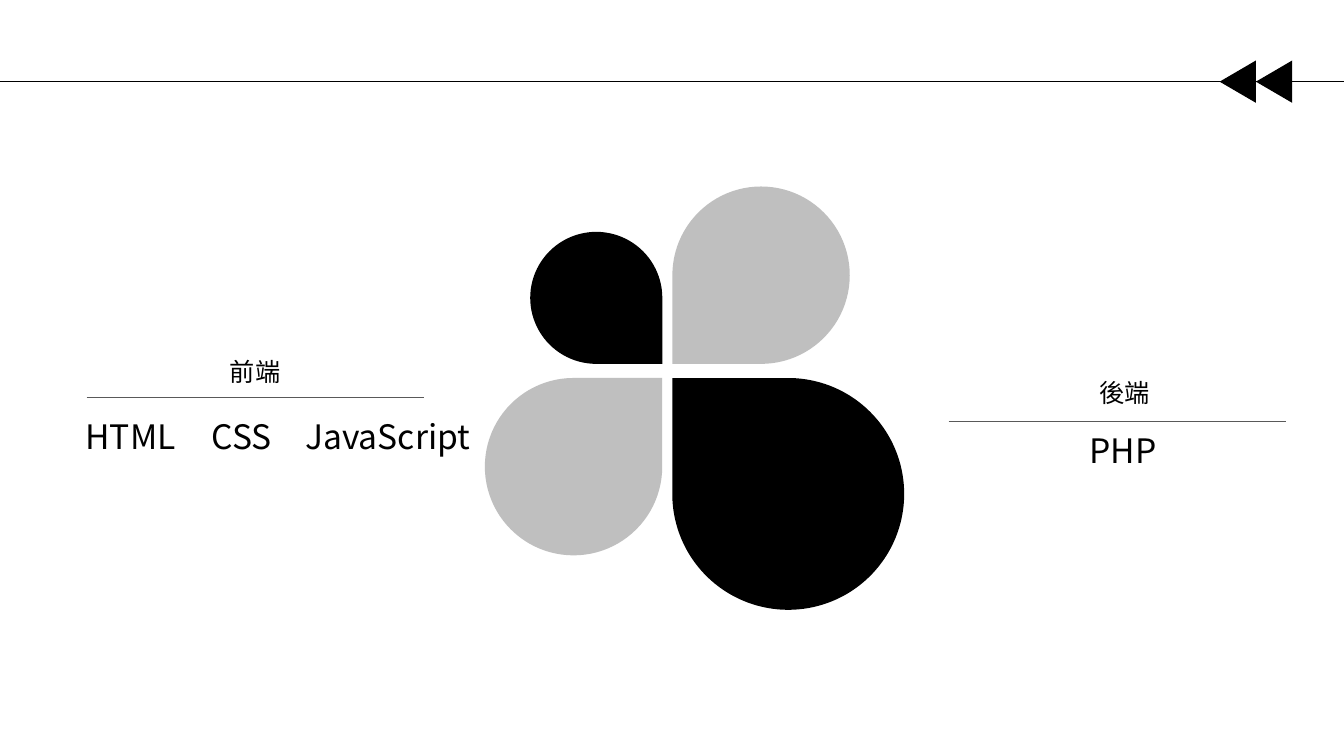
from dataclasses import dataclass

from pptx import Presentation
from pptx.dml.color import RGBColor as Color
from pptx.enum.shapes import MSO_CONNECTOR as Connector, MSO_SHAPE as Shape
from pptx.enum.text import MSO_AUTO_SIZE as AutoSize, PP_ALIGN as Align
from pptx.oxml.ns import qn
from pptx.util import Inches, Pt

COLUMNS, ROWS = 160, 90


@dataclass(frozen=True)
class Theme:
    ink: str = "000000"
    petal: str = "BFBFBF"
    rule: str = "595959"
    font: str = "Noto Sans CJK SC"
    heading: int = 18
    skill: int = 24
    hairline: float = 0.5


def write(box, text, *, size, color, font, align=Align.LEFT):
    frame = box.text_frame
    frame.word_wrap = True
    frame.auto_size = AutoSize.SHAPE_TO_FIT_TEXT
    para = frame.paragraphs[0]
    para.alignment = align
    span = para.add_run()
    span.text = text
    span.font.size = Pt(size)
    span.font.name = font
    span.font.color.rgb = Color.from_string(color)
    # East Asian characters take their own typeface entry
    east_asian = span.font._element.makeelement(qn("a:ea"), {"typeface": font})
    span.font._element.find(qn("a:latin")).addnext(east_asian)


class Page:
    """Draws on one slide; all lengths are grid columns and rows."""

    def __init__(self, deck, theme):
        self.theme = theme
        self.shapes = deck.slides.add_slide(deck.slide_layouts[6]).shapes
        self.column = deck.slide_width / COLUMNS
        self.row = deck.slide_height / ROWS

    def place(self, left, top, width, height):
        return (round(left * self.column), round(top * self.row),
                round(width * self.column), round(height * self.row))

    def shape(self, kind, left, top, width, height, color, turn=0):
        shape = self.shapes.add_shape(kind, *self.place(left, top, width, height))
        shape.rotation = turn
        shape.shadow.inherit = False
        shape.fill.solid()
        shape.fill.fore_color.rgb = Color.from_string(color)
        shape.line.fill.background()

    def rule(self, left, right, row, color):
        start, level, end, _ = self.place(left, row, right, 0)
        line = self.shapes.add_connector(Connector.STRAIGHT, start, level, end, level)
        line.line.color.rgb = Color.from_string(color)
        line.line.width = Pt(self.theme.hairline)
        properties = line._element.spPr
        properties.append(properties.makeelement(qn("a:effectLst"), {}))

    def text(self, text, left, top, width, height, size, align=Align.LEFT):
        box = self.shapes.add_textbox(*self.place(left, top, width, height))
        write(box, text, size=size, color=self.theme.ink,
              font=self.theme.font, align=align)


def draw_header(page):
    level, width, height = 9.72, 5.04, 4.32
    page.rule(0, COLUMNS, level, page.theme.ink)
    for center in (151.68, 151.68 - height):
        page.shape(Shape.ISOSCELES_TRIANGLE, center - width / 2, level - height / 2,
                   width, height, page.theme.ink, turn=270)


def draw_petals(page):
    # Every teardrop points at the shared centre, across a narrow gap
    center_x, center_y, gap_x, gap_y = 79.44, 44.16, 0.6, 0.84
    ink, petal = page.theme.ink, page.theme.petal
    for side_x, side_y, size, turn, color in (
            (-1, -1, 15.72, 90, ink), (-1, 1, 21.12, 0, petal),
            (1, -1, 21.12, 180, petal), (1, 1, 27.6, 270, ink)):
        left = center_x + side_x * (gap_x + size / 2) - size / 2
        top = center_y + side_y * (gap_y + size / 2) - size / 2
        page.shape(Shape.TEAR, left, top, size, size, color, turn)


def draw_topics(page):
    theme, rule_width = page.theme, 40.2
    # Headings, each above its rule
    for heading, left, top, width, rule_left, rule_row in (
            ("前端", 5.64, 41.88, 49.44, 10.32, 47.28),
            ("後端", 122.64, 44.28, 22.56, 112.92, 50.16)):
        page.text(heading, left, top, width, 4.8, theme.heading, Align.CENTER)
        page.rule(rule_left, rule_left + rule_width, rule_row, theme.rule)
    # Languages below the rules
    for skill, left, top, width in (
            ("HTML", 9, 48.96, 13.92), ("CSS", 24, 48.96, 11.16),
            ("JavaScript", 35.16, 48.96, 22.32), ("PHP", 128.52, 50.64, 10.68)):
        page.text(skill, left, top, width, 6, theme.skill)


def main():
    deck = Presentation()
    deck.slide_width, deck.slide_height = Inches(13.33), Inches(7.5)
    page = Page(deck, Theme())
    draw_petals(page)
    draw_header(page)
    draw_topics(page)
    deck.save("out.pptx")


if __name__ == "__main__":
    main()
